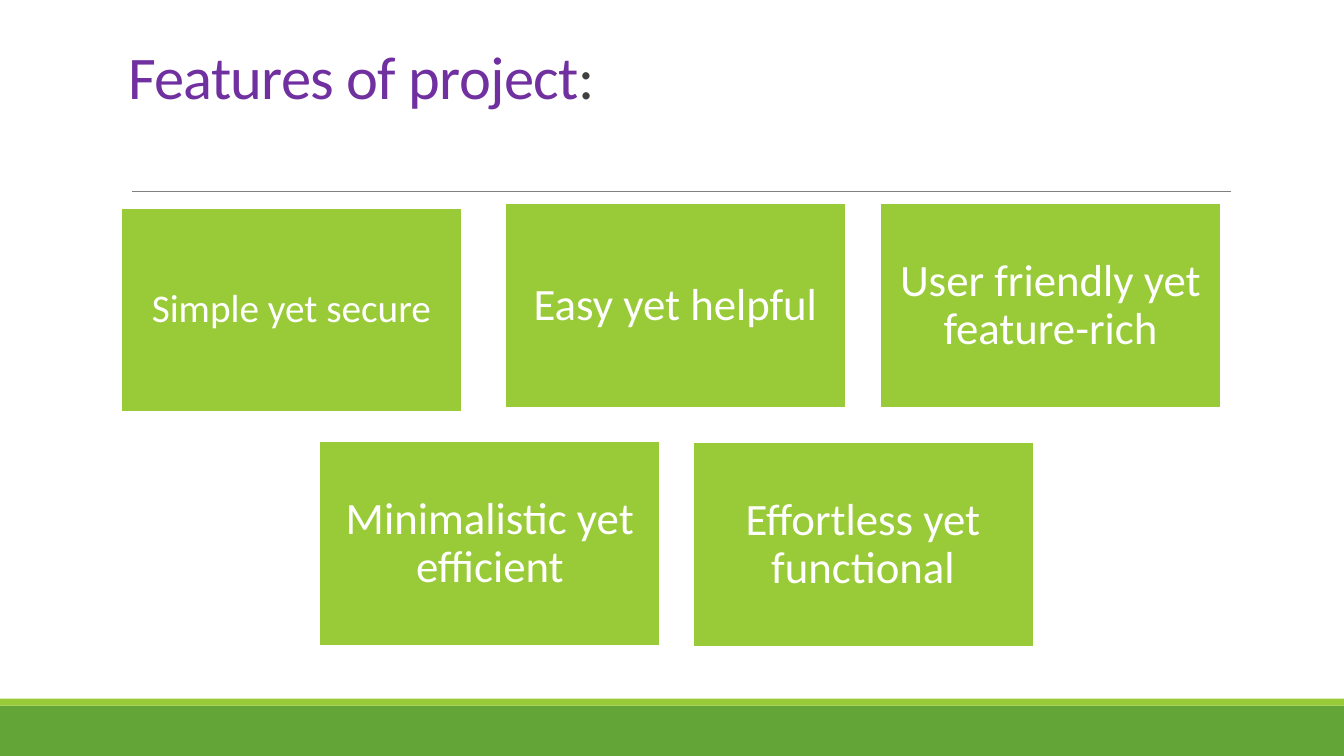
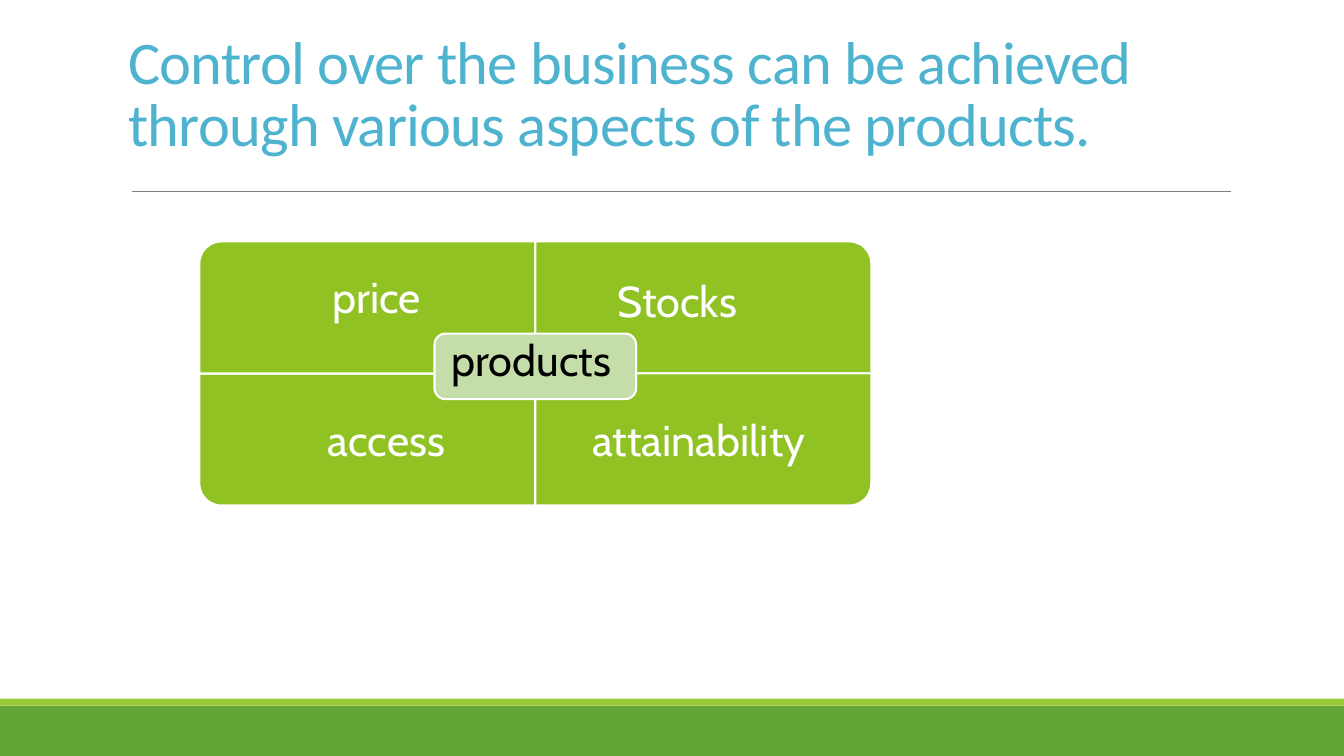
from pptx import Presentation
from pptx import util as u
from pptx.dml.color import RGBColor
from pptx.enum import shapes, text
from pptx.oxml.ns import qn
from lxml import etree


class Theme:
    white, black, grey, dark = "FFFFFF", "000000", "808080", "404040"
    band, lime, leaf, pale = "63A537", "99CB38", "90C223", "C5DDA8"
    purple, sky = "7030A0", "4EB3CF"
    body_font, diagram_font = "Calibri", "Cabin"
    title, card, small_card, diagram = 43.2, 32, 28, 30.8


W, H = u.Inches(13.33), u.Inches(7.5)
KIND = shapes.MSO_SHAPE


def block(s, kind, x, y, w, h, fill=None, line=0):
    """Add a shape (kind None: text box); lengths are percent of the slide."""
    area = [round(v * side / 100) for v, side in zip((x, y, w, h), (W, H, W, H))]
    if kind is None:
        return s.shapes.add_textbox(*area)
    sp = s.shapes.add_shape(kind, *area)
    sp.shadow.inherit = False
    sp.fill.solid()
    sp.fill.fore_color.rgb = RGBColor.from_string(fill)
    if line:
        sp.line.color.rgb = RGBColor.from_string(Theme.white)
        sp.line.width = u.Pt(line)
    else:
        sp.line.fill.background()
    return sp


def write(sp, words, size, color=Theme.white, font=Theme.body_font, align="CENTER",
          anchor="MIDDLE", spacing=0.9, insets=(0.13, 0.13, 0.13, 0.13), track=0):
    """Add a run to the first paragraph of a shape and format it."""
    tf = sp.text_frame
    tf.word_wrap, tf.auto_size = True, text.MSO_AUTO_SIZE.NONE
    tf.vertical_anchor = text.MSO_ANCHOR[anchor]
    tf.margin_left, tf.margin_top, tf.margin_right, tf.margin_bottom = map(u.Inches, insets)
    p = tf.paragraphs[0]
    p.alignment, p.line_spacing = text.PP_ALIGN[align], spacing
    r = p.add_run()
    r.text = words
    r.font.size, r.font.name = u.Pt(size), font
    r.font.color.rgb = RGBColor.from_string(color)
    if track:
        for props in sp.element.iter(qn("a:rPr")):
            props.set("spc", str(round(track * 100)))


prs = Presentation()
prs.slide_width, prs.slide_height = W, H
layout = prs.slide_layouts[5]
features, control = [prs.slides.add_slide(layout) for _ in range(2)]

# Footer bands and title rule, moved to the shared layout
rule = features.shapes.add_connector(
    shapes.MSO_CONNECTOR.STRAIGHT,
    *[round(v) for v in (W * 0.0983, H * 0.2533, W * 0.916, H * 0.2533)])
rule.line.color.rgb = RGBColor.from_string(Theme.grey)
rule.line.width = u.Pt(0.5)
etree.SubElement(rule.element.spPr, qn("a:effectLst"))
footer = block(features, KIND.RECTANGLE, 0, 93.33, 100, 6.67, Theme.band)
stripe = block(features, KIND.RECTANGLE, 0, 92.4, 100, 0.93, Theme.lime)
for sp in (footer, stripe, rule):
    layout.shapes.element.append(sp.element)

# Titles
titles = [
    (features, 6.13, [("Features of project", Theme.purple), (":", Theme.dark)]),
    (control, 4.13, [("Control over the business can be achieved through various "
                      "aspects of the products.", Theme.sky)]),
]
for s, top, runs in titles:
    sp = s.shapes.title
    sp.left, sp.top = round(W * 0.09), round(H * top / 100)
    sp.width, sp.height = round(W * 0.825), round(H * 0.19)
    for words, color in runs:
        write(sp, words, Theme.title, color, align="LEFT", anchor="TOP", spacing=0.85,
              insets=(0.07, 0.04, 0.07, 0.04), track=-0.5)

# Feature cards
cards = [
    ("Simple yet secure", 9, 27.47, Theme.small_card),
    ("Easy yet helpful", 37.58, 26.93, Theme.card),
    ("User friendly yet feature-rich", 65.49, 26.93, Theme.card),
    ("Minimalistic yet efficient", 23.78, 58.4, Theme.card),
    ("Effortless yet functional", 51.54, 58.53, Theme.card),
]
for words, x, y, size in cards:
    write(block(features, KIND.RECTANGLE, x, y, 25.36, 27.07, Theme.lime, 1.25), words, size)

# Four quadrants around a hub; each turns its round corner outwards
hub_x, hub_y, quad_w, quad_h = 39.83, 49.4, 25, 17.47
quadrants = [  # label, column, row, rotation, label position
    ("access", -1, 1, 180, 16.26, 52),
    ("price", -1, -1, 270, 15.51, 33.1),
    ("Stocks", 1, -1, 0, 37.9, 33.6),
    ("attainability", 1, 1, 90, 39.51, 52),
]
for words, col, row, turn, x, y in quadrants:
    sp = block(control, KIND.ROUND_1_RECTANGLE, hub_x + (col - 1) * quad_w / 2,
               hub_y + (row - 1) * quad_h / 2, quad_w, quad_h, Theme.leaf, 1.5)
    if turn % 180:
        shift = (sp.width - sp.height) // 2
        sp.left, sp.top = sp.left + shift, sp.top - shift
        sp.width, sp.height = sp.height, sp.width
    sp.rotation = turn
    write(block(control, None, x, y, quad_w, 13), words, Theme.diagram,
          font=Theme.diagram_font, insets=(0.24, 0.24, 0.24, 0.24))

# Hub
hub = block(control, KIND.ROUNDED_RECTANGLE, hub_x - 7.5, 44.13, 15, 8.67, Theme.pale, 1.5)
write(hub, "products", Theme.diagram, Theme.black, Theme.diagram_font,
      insets=(0.05, 0, 0.13, 0.08))

prs.save("out.pptx")
